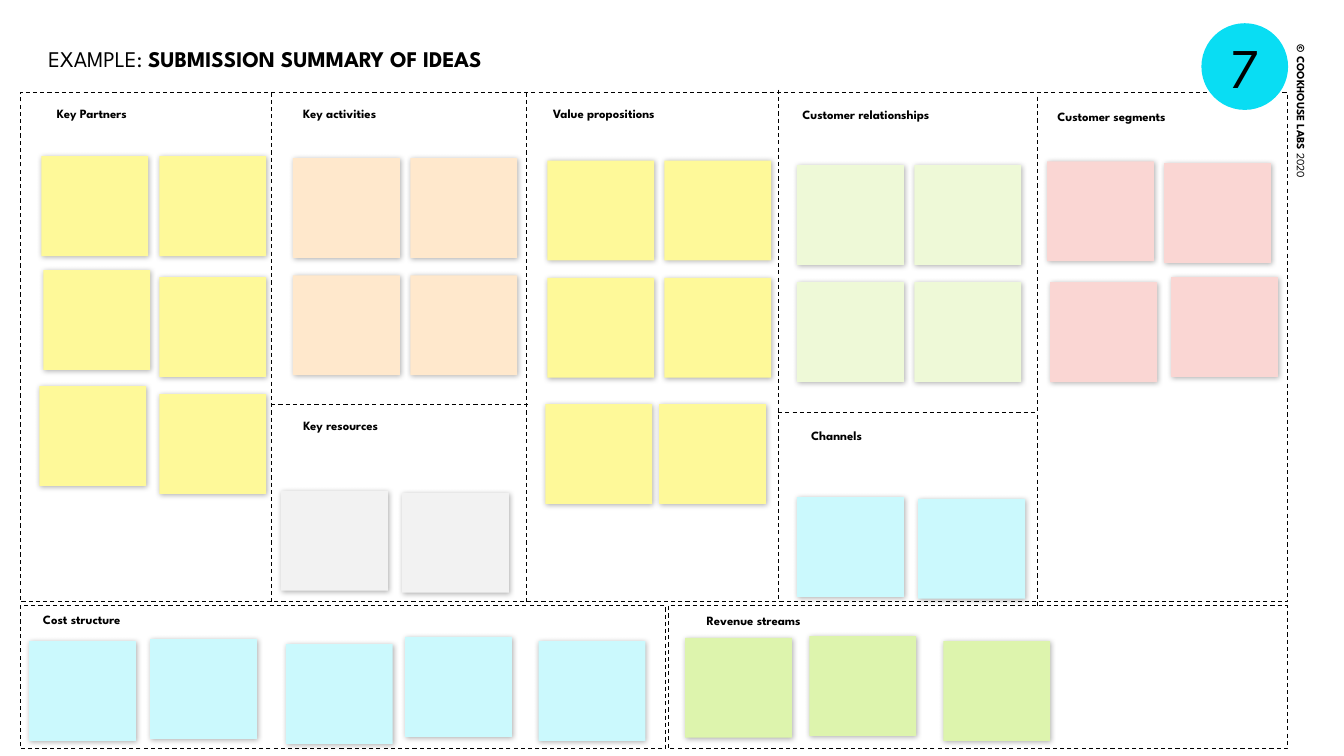
from itertools import product

from lxml import etree
from pptx import Presentation
from pptx.dml.color import RGBColor
from pptx.enum import dml, shapes, text
from pptx.oxml import ns
from pptx.util import Pt

FONT = "League Spartan"
BLACK = RGBColor(0x00, 0x00, 0x00)
CYAN = RGBColor(0x09, 0xDD, 0xF3)
YELLOW = RGBColor(0xFE, 0xF9, 0x99)
PEACH = RGBColor(0xFF, 0xE8, 0xCC)
GREY = RGBColor(0xF2, 0xF2, 0xF2)
PALE_GREEN = RGBColor(0xEE, 0xF9, 0xD7)
GREEN = RGBColor(0xDD, 0xF4, 0xAD)
PALE_BLUE = RGBColor(0xCB, 0xF9, 0xFD)
PINK = RGBColor(0xFA, 0xD6, 0xD3)

TITLE = [("EXAMPLE: ", False), ("SUBMISSION SUMMARY OF IDEAS", True)]
COPYRIGHT = [("© COOKHOUSE LABS ", True), ("2020", False)]
STEP = "7"

NOTE_WIDTH, NOTE_HEIGHT = 76.3, 71.3
HEADING_HEIGHT = 28.8


def grid(columns, rows):
    return [(x, y) for y, x in product(rows, columns)]


# heading, (left, top, width) of the heading, note colour, (left, top) of notes
SECTIONS = [
    ("Key Partners", (27.4, 72, 76.3), YELLOW,
     [(29.5, 111.6), (113.8, 111.6), (31, 193), (113.8, 198),
      (28.1, 275.8), (113.8, 281.5)]),
    ("Key activities", (200.9, 72, 83.5), PEACH,
     grid((209.3, 293.2), (113, 196.6))),
    ("Value propositions", (382.3, 72, 97.9), YELLOW,
     grid((391, 474.6), (114.7, 198.5)) + [(389.5, 288.6), (470.9, 288.6)]),
    ("Customer relationships", (551.5, 72.7, 133.9), PALE_GREEN,
     grid((569.3, 653.2), (118, 201.5))),
    ("Customer segments", (733, 74.2, 121.7), PINK,
     [(748, 115.2), (831.6, 116.6), (750.2, 201.6), (836.6, 198)]),
    ("Key resources", (201.6, 295.2, 83.5), GREY,
     [(200.9, 350.6), (287.2, 352)]),
    ("Channels", (555.8, 302.4, 83.5), PALE_BLUE,
     [(569.3, 355), (655.9, 356.4)]),
    ("Cost structure", (16.6, 433.4, 83.5), PALE_BLUE,
     [(20.9, 457.9), (107.3, 456.5), (204.2, 460), (289.4, 455),
      (384.7, 457.9)]),
    ("Revenue streams", (478.8, 434.2, 118.8), GREEN,
     [(489.4, 455.6), (578.2, 454.3), (673.9, 457.9)]),
]

# left, top, width, height
FRAMES = [(477.4, 432.7, 442, 102.2), (14.4, 432.7, 460.8, 102.2),
          (14.4, 66.2, 905.4, 363.6)]
# left, top; all of one length
ROW_DIVIDERS, ROW_LENGTH = [(193.7, 288.9), (555.8, 294.5)], 185
COLUMN_DIVIDERS = [(193.7, 66.2), (375.8, 66.2), (555.8, 64.1), (740.9, 69.1)]
COLUMN_LENGTH = 363.6

deck = Presentation()
deck.slide_width, deck.slide_height = Pt(960), Pt(540)
page = deck.slides.add_slide(deck.slide_layouts[5])


def write(box, runs, size, align, anchor, margins):
    frame = box.text_frame
    frame.word_wrap = True
    frame.auto_size = text.MSO_AUTO_SIZE.NONE
    frame.vertical_anchor = anchor
    (frame.margin_left, frame.margin_top,
     frame.margin_right, frame.margin_bottom) = map(Pt, margins)
    para = frame.paragraphs[0]
    para.alignment = align
    for words, bold in runs:
        span = para.add_run()
        span.text = words
        span.font.name, span.font.size = FONT, Pt(size)
        span.font.bold, span.font.color.rgb = bold, BLACK
    return para


def dash(line):
    line.color.rgb = BLACK
    line.width = Pt(0.75)
    line.dash_style = dml.MSO_LINE.DASH


def add_filled(kind, place, colour):
    shape = page.shapes.add_shape(kind, *map(Pt, place))
    shape.shadow.inherit = False
    shape.line.fill.background()
    shape.fill.solid()
    shape.fill.fore_color.rgb = colour
    return shape


def add_note(left, top, colour):
    """Add a sticky note with a soft shadow to the lower right."""
    note = add_filled(shapes.MSO_SHAPE.RECTANGLE,
                      (left, top, NOTE_WIDTH, NOTE_HEIGHT), colour)
    effects = note._element.spPr.find(ns.qn("a:effectLst"))
    shadow = etree.SubElement(effects, ns.qn("a:outerShdw"), blurRad=str(Pt(4)),
                              dist=str(Pt(1)), dir=str(45 * 60000), algn="tl",
                              rotWithShape="0")
    tint = etree.SubElement(shadow, ns.qn("a:srgbClr"), val=str(BLACK))
    etree.SubElement(tint, ns.qn("a:alpha"), val="30000")


def add_divider(left, top, width, height):
    line = page.shapes.add_connector(
        shapes.MSO_CONNECTOR.STRAIGHT,
        *map(Pt, (left, top, left + width, top + height)))
    etree.SubElement(line._element.spPr, ns.qn("a:effectLst"))
    dash(line.line)


for place in FRAMES:
    border = page.shapes.add_shape(shapes.MSO_SHAPE.RECTANGLE, *map(Pt, place))
    border.shadow.inherit = False
    border.fill.background()
    dash(border.line)

title = page.shapes.title
title.left, title.top, title.width, title.height = map(Pt, (34.6, 31.7, 828, 22.3))
title_para = write(title, TITLE, 16, text.PP_ALIGN.LEFT,
                   text.MSO_ANCHOR.MIDDLE, (0, 3.6, 7.2, 3.6))
title_para.line_spacing = 0.9

owner = page.shapes.add_textbox(*map(Pt, (879.8, 77, 99.4, 9.4)))
owner.rotation = 90
write(owner, COPYRIGHT, 8, text.PP_ALIGN.LEFT, text.MSO_ANCHOR.MIDDLE, (0,) * 4)

for heading, (left, top, width), colour, notes in SECTIONS:
    box = page.shapes.add_textbox(*map(Pt, (left, top, width, HEADING_HEIGHT)))
    write(box, [(heading, True)], 9, text.PP_ALIGN.CENTER,
          text.MSO_ANCHOR.TOP, (7.2, 3.6, 7.2, 3.6))
    for note_left, note_top in notes:
        add_note(note_left, note_top, colour)

for left, top in ROW_DIVIDERS:
    add_divider(left, top, ROW_LENGTH, 0)
for left, top in COLUMN_DIVIDERS:
    add_divider(left, top, 0, COLUMN_LENGTH)

badge = add_filled(shapes.MSO_SHAPE.OVAL, (858.2, 16.6, 61.9, 61.9), CYAN)
write(badge, [(STEP, False)], 40, text.PP_ALIGN.CENTER,
      text.MSO_ANCHOR.MIDDLE, (7.2, 3.6, 7.2, 3.6))

deck.save("out.pptx")
